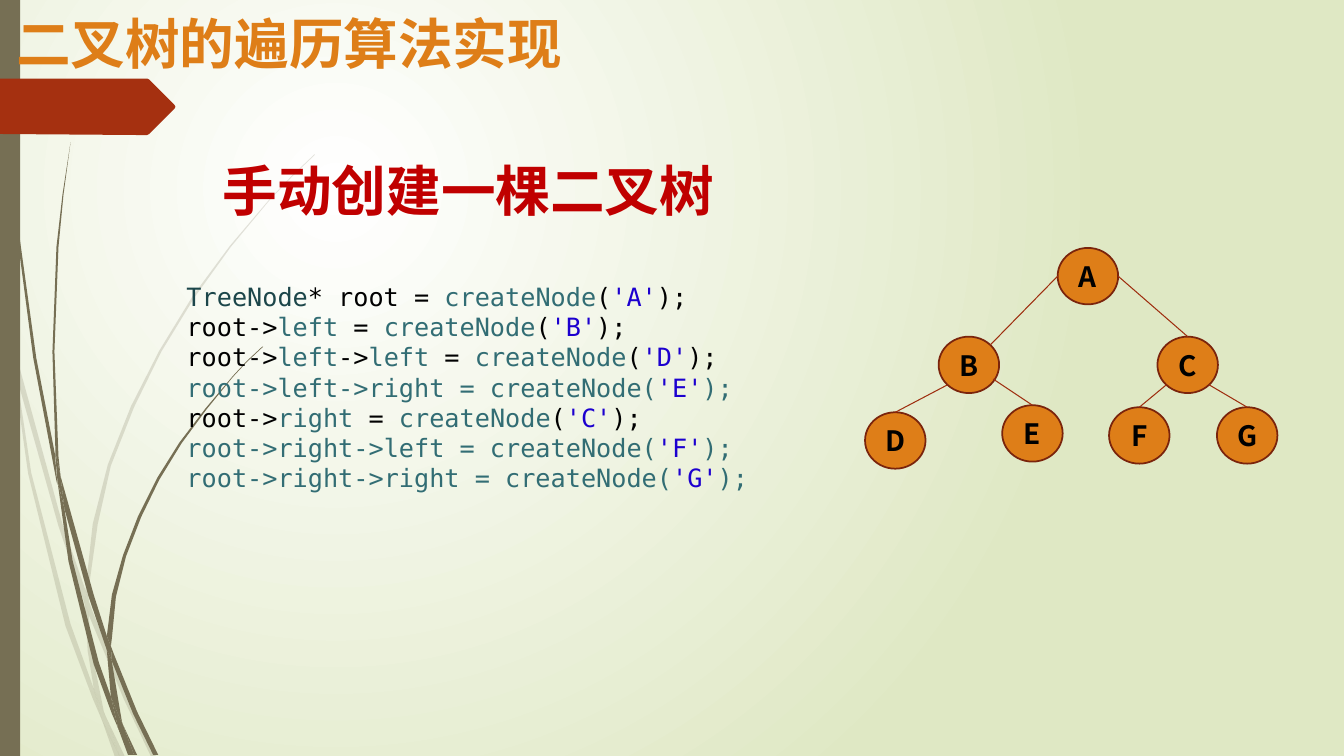
from math import sqrt
from lxml.etree import SubElement
from pptx import Presentation
from pptx.dml.color import RGBColor
from pptx.enum.shapes import MSO_CONNECTOR, MSO_SHAPE
from pptx.enum.text import MSO_ANCHOR, MSO_AUTO_SIZE, PP_ALIGN
from pptx.oxml.ns import qn
from pptx.util import Inches, Pt

WHITE = RGBColor(0xFF, 0xFF, 0xFF)
PALE = RGBColor(0xDF, 0xE8, 0xC4)
OLIVE = RGBColor(0x76, 0x6F, 0x54)
RUST = RGBColor(0xA5, 0x30, 0x10)
ORANGE = RGBColor(0xDE, 0x7E, 0x18)
BROWN = RGBColor(0x7A, 0x24, 0x0C)
EDGE = RGBColor(0x9E, 0x2E, 0x0F)
RED = RGBColor(0xC0, 0x00, 0x00)
BLACK = RGBColor(0x00, 0x00, 0x00)
DARK = RGBColor(0x1C, 0x46, 0x4A)
TEAL = RGBColor(0x32, 0x6D, 0x74)
BLUE = RGBColor(0x1C, 0x00, 0xCF)

SANS = "Noto Sans CJK SC"
MONO = "DejaVu Sans Mono"

PALE_GRASS = [
    [(0.11, 3.5), (0.09, 3.22), (0, 2.82), (0, 2.99), (0.1, 3.44)],
    [(0.58, 5.22), (0.84, 5.99), (0.85, 5.86), (0.62, 5.2), (0.14, 3.45), (0.17, 3.76)],
    [(0.92, 6.07), (0.88, 5.96), (0.88, 6.1), (1.23, 6.94), (1.5, 7.51), (1.55, 7.51),
     (1.27, 6.92)],
    [(1.19, 7.51), (1.24, 7.51), (1.05, 7.11)],
    [(0.93, 6.83), (0.7, 6.19), (0.31, 4.69), (0.17, 3.76), (0.11, 3.5), (0.28, 4.7),
     (0.65, 6.21), (0.92, 6.93), (1.01, 7.14), (0.99, 7.07)],
    [(0.84, 5.99), (0.87, 6.46), (0.93, 6.83), (0.96, 6.92), (1.05, 7.11), (1.03, 7.06),
     (0.91, 6.46), (0.88, 6.1), (0.88, 6.08)],
    [(0.88, 5.84), (0.97, 5.2), (1.1, 4.62), (1.33, 4.04), (1.6, 3.49), (1.93, 2.95),
     (2.29, 2.45), (2.68, 1.98), (2.9, 1.75), (3.12, 1.54), (3.12, 1.53), (2.89, 1.75),
     (2.68, 1.97), (2.28, 2.44), (1.91, 2.94), (1.58, 3.48), (1.3, 4.03), (1.07, 4.61),
     (0.92, 5.2), (0.85, 5.84), (0.85, 5.86), (0.88, 5.96)],
    [(1.01, 7.14), (1.14, 7.51), (1.19, 7.51)],
    [(0.88, 6.08), (0.88, 6.1), (0.88, 5.96), (0.85, 5.86), (0.84, 5.99)],
    [(0.96, 6.92), (0.93, 6.83), (0.99, 7.07), (1.01, 7.14), (1.19, 7.51), (1.05, 7.11)],
]
DARK_GRASS = [
    [(0.07, 1.1), (0.17, 2.33), (0.33, 3.55), (0.56, 4.77), (0.57, 4.81), (0.55, 4.57),
     (0.55, 4.53), (0.36, 3.55), (0.19, 2.32), (0.08, 1.09), (0.05, 0.48), (0.04, 0),
     (0.03, 0), (0.04, 0.48)],
    [(0.88, 5.92), (1.06, 6.45), (1.06, 6.33), (1.06, 6.31), (0.93, 5.9), (0.6, 4.72),
     (0.64, 5.05)],
    [(1.13, 6.49), (1.1, 6.41), (1.11, 6.56), (1.32, 7.08), (1.52, 7.49), (1.57, 7.49),
     (1.36, 7.06)],
    [(1.1, 6.91), (0.98, 6.57), (0.72, 5.56), (0.64, 5.05), (0.57, 4.77), (0.68, 5.57),
     (0.93, 6.59), (1.11, 7.08), (1.17, 7.22), (1.16, 7.17)],
    [(0.6, 4.72), (0.58, 4.53), (0.54, 3.49), (0.58, 2.45), (0.63, 1.93), (0.7, 1.41),
     (0.62, 1.93), (0.56, 2.45), (0.52, 3.49), (0.55, 4.49)],
    [(1.33, 7.49), (1.36, 7.49), (1.22, 7.19)],
    [(0.57, 4.77), (0.64, 5.05), (0.6, 4.72), (0.55, 4.49), (0.55, 4.53)],
    [(1.11, 6.33), (1.15, 5.92), (1.25, 5.52), (1.4, 5.13), (1.58, 4.76), (1.8, 4.4),
     (2.05, 4.06), (2.31, 3.74), (2.45, 3.59), (2.61, 3.44), (2.6, 3.44), (2.45, 3.58),
     (2.31, 3.73), (2.04, 4.05), (1.78, 4.39), (1.56, 4.74), (1.37, 5.12), (1.22, 5.51),
     (1.11, 5.9), (1.06, 6.31), (1.1, 6.41)],
    [(1.17, 7.22), (1.27, 7.49), (1.31, 7.49)],
    [(1.06, 6.45), (1.1, 6.91), (1.16, 7.06), (1.22, 7.19), (1.21, 7.16), (1.11, 6.56),
     (1.09, 6.51)],
    [(1.06, 6.45), (1.09, 6.51), (1.11, 6.56), (1.1, 6.41), (1.06, 6.31), (1.06, 6.33)],
    [(1.16, 7.06), (1.1, 6.91), (1.16, 7.17), (1.17, 7.22), (1.3, 7.49), (1.33, 7.49),
     (1.22, 7.19)],
]
BANNER = [(0, 0.78), (1.46, 0.78), (1.48, 0.79), (1.73, 1.04), (1.74, 1.06),
          (1.73, 1.08), (1.48, 1.33), (1.46, 1.34), (1.36, 1.34), (0, 1.33)]

NODE_W, NODE_H = 0.6, 0.56
NODES = {"A": (10.49, 2.46), "B": (9.31, 3.34), "C": (11.48, 3.34), "D": (8.58, 4.09),
         "E": (9.94, 4.02), "F": (11, 4.04), "G": (12.07, 4.04)}
DIAG = 1 / sqrt(2)
TOP, LEFT, RIGHT = (0, -1), (-1, 0), (1, 0)
LOW_L, LOW_R, HIGH_R = (-DIAG, DIAG), (DIAG, DIAG), (DIAG, -DIAG)
SIDE_R = (0.8, 0.5)
LINKS = [("A", LEFT, "B", HIGH_R), ("A", RIGHT, "C", TOP), ("B", LOW_L, "D", TOP),
         ("B", SIDE_R, "E", TOP), ("C", LOW_L, "F", TOP), ("C", LOW_R, "G", TOP)]


def row(start, key, mark):
    return start + [("createNode", TEAL), ("(", mark), (f"'{key}'", BLUE), (");", mark)]


ROOT, SET = ("root->", BLACK), (" = ", BLACK)
CODE = [
    row([("TreeNode", DARK), ("* root = ", BLACK)], "A", BLACK),
    row([ROOT, ("left", TEAL), SET], "B", BLACK),
    row([ROOT, ("left", TEAL), ("->", BLACK), ("left", TEAL), SET], "D", BLACK),
    row([("root->left->right = ", TEAL)], "E", TEAL),
    row([ROOT, ("right", TEAL), SET], "C", BLACK),
    row([("root->right->left = ", TEAL)], "F", TEAL),
    row([("root->right->right = ", TEAL)], "G", TEAL),
]


def add_run(para, text, size, face, color, bold=False):
    run = para.add_run()
    run.text = text
    font = run.font
    font.size, font.name, font.bold = Pt(size), face, bold
    font.color.rgb = color
    SubElement(font._element, qn("a:ea")).set("typeface", face)


def paint(shape, color, alpha=None):
    shape.shadow.inherit = False
    shape.fill.solid()
    shape.fill.fore_color.rgb = color
    shape.line.fill.background()
    if alpha:
        tone = shape.element.spPr.find(qn("a:solidFill")).find(qn("a:srgbClr"))
        SubElement(tone, qn("a:alpha")).set("val", str(alpha * 1000))


def set_back(slide):
    fill = slide.background.fill
    fill.gradient()
    for stop, color, place in zip(fill.gradient_stops, (WHITE, PALE), (0, 1)):
        stop.color.rgb, stop.position = color, place
    grad = slide.element.find(".//" + qn("a:gradFill"))
    grad.remove(grad.find(qn("a:lin")))
    ring = SubElement(grad, qn("a:path"))
    ring.set("path", "circle")
    rect = SubElement(ring, qn("a:fillToRect"))
    for side, share in zip("ltrb", (50, 50, 100, 100)):
        rect.set(side, str(share * 1000))


def add_free(slide, points, color, alpha=None):
    spots = [(Inches(x), Inches(y)) for x, y in points]
    form = slide.shapes.build_freeform(*spots[0])
    form.add_line_segments(spots[1:], close=True)
    paint(form.convert_to_shape(), color, alpha)


def add_node(slide, key, x, y):
    node = slide.shapes.add_shape(
        MSO_SHAPE.OVAL, Inches(x), Inches(y), Inches(NODE_W), Inches(NODE_H))
    paint(node, ORANGE)
    node.line.color.rgb, node.line.width = BROWN, Pt(1.25)
    frame = node.text_frame
    frame.margin_left = frame.margin_right = frame.margin_top = frame.margin_bottom = 0
    frame.word_wrap = False
    frame.vertical_anchor = MSO_ANCHOR.MIDDLE
    frame.paragraphs[0].alignment = PP_ALIGN.CENTER
    add_run(frame.paragraphs[0], key, 20, SANS, BLACK, True)


def site(key, way):
    x, y = NODES[key]
    return Inches(x + NODE_W / 2 * (1 + way[0])), Inches(y + NODE_H / 2 * (1 + way[1]))


def add_link(slide, start, out, end, into):
    link = slide.shapes.add_connector(
        MSO_CONNECTOR.STRAIGHT, *site(start, out), *site(end, into))
    link.line.color.rgb, link.line.width = EDGE, Pt(0.75)
    SubElement(link.element.spPr, qn("a:effectLst"))


def add_box(slide, x, y, w, h):
    return slide.shapes.add_textbox(Inches(x), Inches(y), Inches(w), Inches(h))


def set_head(shape, text, color):
    frame = shape.text_frame
    frame.word_wrap = True
    frame.auto_size = MSO_AUTO_SIZE.NONE
    frame.vertical_anchor = MSO_ANCHOR.TOP
    frame.paragraphs[0].alignment = PP_ALIGN.LEFT
    add_run(frame.paragraphs[0], text, 39, SANS, color, True)


def add_code(slide):
    frame = add_box(slide, 1.15, 2.74, 6.67, 2.22).text_frame
    frame.word_wrap = True
    frame.margin_left = Inches(0.7)
    for i, parts in enumerate(CODE):
        para = frame.add_paragraph() if i else frame.paragraphs[0]
        for text, color in parts:
            add_run(para, text, 18, MONO, color)


def main():
    deck = Presentation()
    deck.slide_width, deck.slide_height = Inches(13.33), Inches(7.5)
    slide = deck.slides.add_slide(deck.slide_layouts[5])
    set_back(slide)
    for grass, alpha in ((PALE_GRASS, 20), (DARK_GRASS, None)):
        for blade in grass:
            add_free(slide, blade, OLIVE, alpha)
    bar = slide.shapes.add_shape(MSO_SHAPE.RECTANGLE, 0, 0, Inches(0.2), Inches(7.5))
    paint(bar, OLIVE)
    add_free(slide, BANNER, RUST)
    title = slide.shapes.title
    title.left, title.top = Inches(0.06), Inches(0.05)
    title.width, title.height = Inches(9.57), Inches(0.84)
    set_head(title, "二叉树的遍历算法实现", ORANGE)
    slide.shapes.element.append(title.element)
    for key, (x, y) in NODES.items():
        add_node(slide, key, x, y)
    for link in LINKS:
        add_link(slide, *link)
    add_code(slide)
    set_head(add_box(slide, 2.11, 1.51, 5.46, 0.84), "手动创建一棵二叉树", RED)
    deck.save("out.pptx")


if __name__ == "__main__":
    main()
